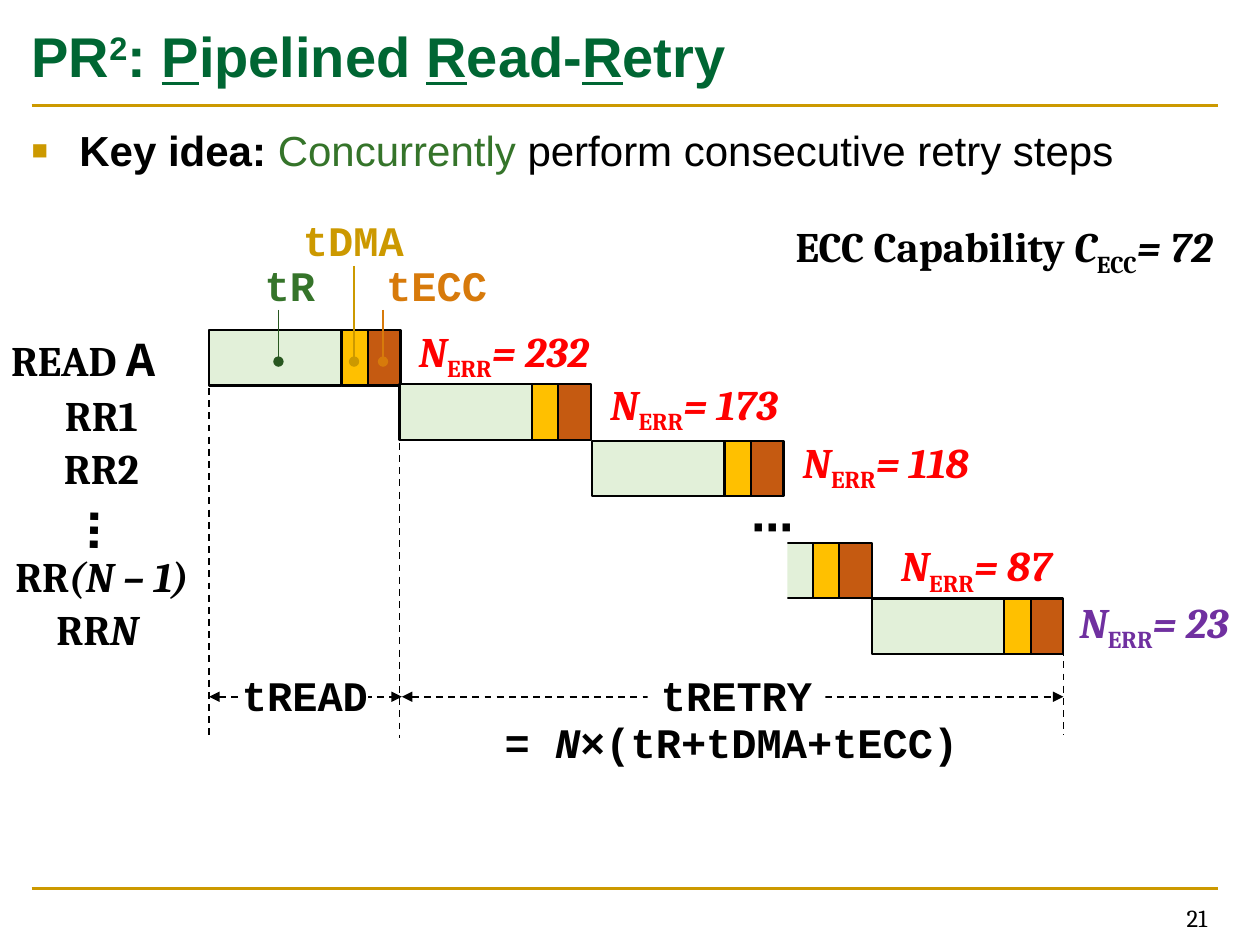
"""Build the slide on pipelined read-retry with its staggered timing diagram."""
from lxml import etree
from pptx import Presentation
from pptx import util as u
from pptx.dml.color import RGBColor
from pptx.enum import dml, shapes, text
from pptx.oxml import ns

BLACK = RGBColor(0x00, 0x00, 0x00)
WHITE = RGBColor(0xFF, 0xFF, 0xFF)
GOLD = RGBColor(0xCC, 0x99, 0x00)
TITLE_GREEN = RGBColor(0x00, 0x66, 0x33)
GREEN = RGBColor(0x35, 0x74, 0x2A)
DARK_GREEN = RGBColor(0x28, 0x57, 0x20)
ORANGE = RGBColor(0xD7, 0x7A, 0x0B)
RED = RGBColor(0xFF, 0x00, 0x00)
PURPLE = RGBColor(0x70, 0x30, 0xA0)
READ_FILL = RGBColor(0xE2, 0xF0, 0xD9)
DMA_FILL = RGBColor(0xFF, 0xC0, 0x00)
ECC_FILL = RGBColor(0xC5, 0x5A, 0x11)
SERIF, MONO = "Cambria", "Courier New"
ITALIC = {"italic": True}
SUBSCRIPT = {"baseline": -25000}


def write(holder, box, runs, inset=(0, 0, 0, 0), align=text.PP_ALIGN.CENTER,
          anchor=text.MSO_ANCHOR.MIDDLE, wrap=False, **base):
    holder.left, holder.top, holder.width, holder.height = map(u.Inches, box)
    frame = holder.text_frame
    margins = dict(zip(("margin_left", "margin_top", "margin_right", "margin_bottom"),
                       map(u.Inches, inset)))
    layout = {"auto_size": text.MSO_AUTO_SIZE.NONE, "word_wrap": wrap,
              "vertical_anchor": anchor, **margins}
    for key, value in layout.items():
        setattr(frame, key, value)
    paragraph = frame.paragraphs[0]
    paragraph.alignment = align
    paragraph.space_before = u.Pt(0)
    for words, own in runs:
        look = {"size": u.Pt(24), "bold": True, "name": SERIF, "color": BLACK, **base, **own}
        color, baseline = look.pop("color"), look.pop("baseline", None)
        run = paragraph.add_run()
        run.text = words
        for key, value in look.items():
            setattr(run.font, key, value)
        run.font.color.rgb = color
        if baseline:
            run._r.get_or_add_rPr().set("baseline", str(baseline))
    return paragraph


def draw_line(x1, y1, x2, y2, color=BLACK, width=1, dashed=False, head=None, tail=None):
    line = slide.shapes.add_connector(shapes.MSO_CONNECTOR.STRAIGHT,
                                      *map(u.Inches, (x1, y1, x2, y2)))
    line.line.color.rgb = color
    line.line.width = u.Pt(width)
    if dashed:
        line.line.dash_style = dml.MSO_LINE.DASH
    properties = line._element.spPr
    for tag, kind in (("a:headEnd", head), ("a:tailEnd", tail)):
        if kind:
            etree.SubElement(properties.find(ns.qn("a:ln")), ns.qn(tag), type=kind)
    etree.SubElement(properties, ns.qn("a:effectLst"))


deck = Presentation()
deck.slide_width, deck.slide_height = u.Inches(10), u.Inches(7.5)
slide = deck.slides.add_slide(deck.slide_layouts[1])
title, body = slide.placeholders

for rule_y in (0.84, 7.05):
    draw_line(0.25, rule_y, 9.67, rule_y, GOLD, 1.5)

initial = {"underline": True}
write(title, (0.25, 0.04, 9.42, 0.79),
      [("PR", {}), ("2", {"baseline": 30000}), (": ", {}), ("P", initial), ("ipelined ", {}),
       ("R", initial), ("ead-", {}), ("R", initial), ("etry", {})],
      inset=(0, 0.05, 0, 0.05), align=text.PP_ALIGN.LEFT, wrap=True,
      size=u.Pt(32), name="Arial", color=TITLE_GREEN)

key_idea = write(body, (0.25, 0.84, 9.42, 6.21),
                 [("Key idea: ", {}), ("Concurrently", {"color": GREEN, "bold": False}),
                  (" perform consecutive retry steps", {"bold": False})],
                 inset=(0, 0.15, 0, 0.12), align=text.PP_ALIGN.LEFT,
                 anchor=text.MSO_ANCHOR.TOP, wrap=True, name="Arial")
bullet = key_idea._p.get_or_add_pPr()
for side, sign in (("marL", 1), ("indent", -1)):
    bullet.set(side, str(sign * u.Inches(0.38)))
bullet_color = etree.SubElement(bullet, ns.qn("a:buClr"))
etree.SubElement(bullet_color, ns.qn("a:srgbClr"), val=str(GOLD))
etree.SubElement(bullet, ns.qn("a:buSzPct"), val="65000")
etree.SubElement(bullet, ns.qn("a:buFont"), typeface="Arial")
etree.SubElement(bullet, ns.qn("a:buChar"), char="■")

phases = [(0, 1.05, READ_FILL), (1.05, 0.21, DMA_FILL), (1.26, 0.26, ECC_FILL)]
step_bars = [(1.66, 2.62), (3.17, 3.05), (4.7, 3.5), (5.4, 4.31), (6.92, 4.75)]
bars = [(x + shift, y, width, 0.44, fill, BLACK)
        for x, y in step_bars for shift, width, fill in phases]
bars.append((5.36, 4.27, 0.89, 0.54, WHITE, None))
for *box, fill, outline in bars:
    bar = slide.shapes.add_shape(shapes.MSO_SHAPE.RECTANGLE, *map(u.Inches, box))
    bar.shadow.inherit = False
    bar.fill.solid()
    bar.fill.fore_color.rgb = fill
    if outline is None:
        bar.line.fill.background()
    else:
        bar.line.color.rgb = outline
        bar.line.width = u.Pt(1.25)

for x, top, bottom in ((1.66, 3.08, 5.86), (3.17, 3.13, 5.86), (8.44, 4.96, 5.83)):
    draw_line(x, top, x, bottom, dashed=True)
for start, end in ((1.66, 3.19), (3.19, 8.44)):
    draw_line(start, 5.53, end, 5.53, dashed=True, head="triangle", tail="triangle")
for x, top, color in ((2.21, 2.46, DARK_GREEN), (2.81, 2.11, GOLD), (3.04, 2.46, ORANGE)):
    draw_line(x, top, x, 2.87, color, tail="oval")

mono = {"name": MONO}
row_inset = {"inset": (0.08, 0, 0, 0)}
labels = [
    ((1.01, 2.06, 2.58, 0.4), [("tR", {})], {"color": GREEN, **mono}),
    ((2.89, 2.06, 1.07, 0.4), [("tECC", {})], {"color": ORANGE, **mono, **row_inset}),
    ((1.09, 1.7, 3.43, 0.4), [("tDMA", {})], {"color": GOLD, **mono}),
    ((5.81, 1.73, 4.32, 0.5),
     [("ECC Capability", {}), (" C", ITALIC), ("ECC", SUBSCRIPT), ("= 72", ITALIC)], {}),
    ((-0.3, 2.6, 1.84, 0.47),
     [("READ ", {}), ("A", {"size": u.Pt(28), **mono})], row_inset),
    ((-0.13, 3.09, 1.79, 0.4), [("RR1", {})], row_inset),
    ((-0.13, 3.51, 1.79, 0.4), [("RR2", {})], row_inset),
    ((-0.67, 4.37, 2.88, 0.4), [("RR", {}), ("(N – 1)", ITALIC)], row_inset),
    ((-0.67, 4.79, 2.88, 0.4), [("RR", {}), ("N ", ITALIC)], row_inset),
    ((0.55, 3.88, 0.43, 0.67), [("⋯", {})], {"name": "Calibri", "rotation": 91}),
    ((5.93, 3.96, 0.4, 0.43), [("⋯", {})], {"name": "Calibri"}),
    ((1.92, 5.31, 1, 0.4), [("tREAD", {})], {"fill": WHITE, **mono}),
    ((5.14, 5.31, 1.41, 0.4), [("tRETRY", {})], {"fill": WHITE, **mono}),
    ((3.96, 5.69, 3.69, 0.4),
     [("= N×", ITALIC), ("(tR+tDMA+tECC)", {})], {"fill": WHITE, **mono}),
    ((7.35, 7.11, 2.33, 0.34), [("21", {})],
     {"size": u.Pt(14), "bold": False, "align": text.PP_ALIGN.RIGHT,
      "inset": (0.1, 0.05, 0.1, 0.05)}),
]
error_counts = [(3.02, 2.56, 232, RED), (4.53, 2.98, 173, RED), (6.05, 3.44, 118, RED),
                (6.77, 4.26, 87, RED), (8.18, 4.71, 23, PURPLE)]
for x, y, errors, color in error_counts:
    labels.append(((x, y, 1.96, 0.5),
                   [("N", ITALIC), ("ERR", SUBSCRIPT), (f"= {errors}", ITALIC)],
                   {"color": color}))

for box, runs, look in labels:
    look = dict(look)
    label = slide.shapes.add_textbox(*map(u.Inches, box))
    label.rotation = look.pop("rotation", 0)
    fill = look.pop("fill", None)
    if fill is not None:
        label.fill.solid()
        label.fill.fore_color.rgb = fill
    write(label, box, runs, **look)

deck.save("out.pptx")
